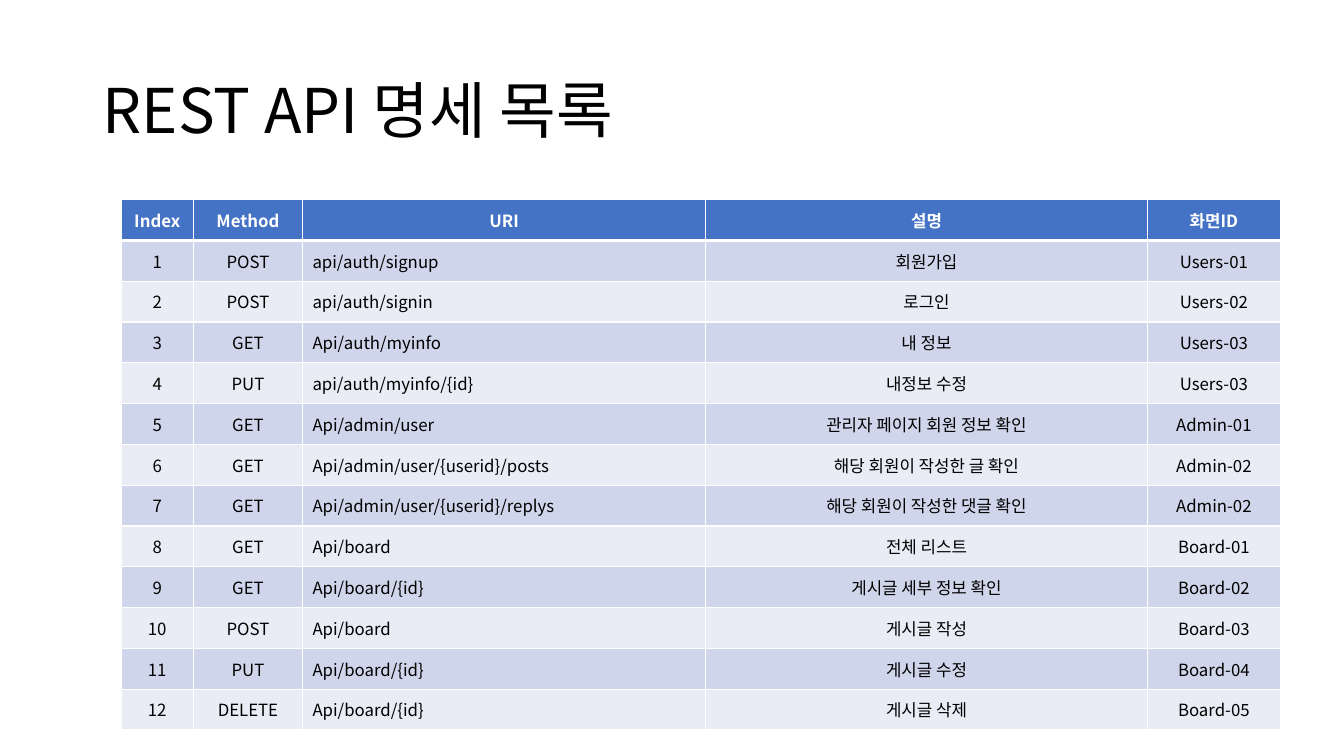
from lxml import etree
from pptx import Presentation, util as u
from pptx.dml.color import RGBColor
from pptx.enum import text
from pptx.oxml import ns

WIDTH, HEIGHT = u.Inches(13.33), u.Inches(7.5)
FONT = "Noto Sans CJK KR"
WHITE, BLACK, HEADER_BLUE = "FFFFFF", "000000", "4472C4"
BANDS = ["CFD5EA", "E9EBF5"]
COLUMN_WIDTHS = [0.72, 1.08, 4, 4.38, 1.32]
ROW_HEIGHT = 0.405
URI_COLUMN = 2
HEADINGS = ["Index", "Method", "URI", "설명", "화면ID"]
ENDPOINTS = [
    ("POST", "api/auth/signup", "회원가입", "Users-01"),
    ("POST", "api/auth/signin", "로그인", "Users-02"),
    ("GET", "Api/auth/myinfo", "내 정보", "Users-03"),
    ("PUT", "api/auth/myinfo/{id}", "내정보 수정", "Users-03"),
    ("GET", "Api/admin/user", "관리자 페이지 회원 정보 확인", "Admin-01"),
    ("GET", "Api/admin/user/{userid}/posts", "해당 회원이 작성한 글 확인", "Admin-02"),
    ("GET", "Api/admin/user/{userid}/replys", "해당 회원이 작성한 댓글 확인", "Admin-02"),
    ("GET", "Api/board", "전체 리스트", "Board-01"),
    ("GET", "Api/board/{id}", "게시글 세부 정보 확인", "Board-02"),
    ("POST", "Api/board", "게시글 작성", "Board-03"),
    ("PUT", "Api/board/{id}", "게시글 수정", "Board-04"),
    ("DELETE", "Api/board/{id}", "게시글 삭제", "Board-05"),
]


def color(hex_code):
    return RGBColor.from_string(hex_code)


def write(frame, words, size, hex_code, bold=False, align=text.PP_ALIGN.LEFT):
    paragraph = frame.paragraphs[0]
    paragraph.text = words
    paragraph.alignment = align
    run = paragraph.runs[0]
    run.font.name = FONT
    run.font.size = u.Pt(size)
    run.font.bold = bold
    run.font.color.rgb = color(hex_code)
    east_asian = etree.SubElement(run.font._element, ns.qn("a:ea"))
    east_asian.set("typeface", FONT)
    return paragraph


def add_border(cell, side, points):
    border = etree.SubElement(cell._tc.get_or_add_tcPr(), ns.qn(f"a:ln{side}"))
    border.set("w", str(u.Pt(points)))
    fill = etree.SubElement(border, ns.qn("a:solidFill"))
    etree.SubElement(fill, ns.qn("a:srgbClr")).set("val", WHITE)


def fill_cell(cell, words, row, column):
    is_header = row == 0
    left_aligned = column == URI_COLUMN and not is_header
    align = text.PP_ALIGN.LEFT if left_aligned else text.PP_ALIGN.CENTER
    write(cell.text_frame, words, 12, WHITE if is_header else BLACK, is_header, align)
    cell.vertical_anchor = text.MSO_ANCHOR.MIDDLE
    for side in "LRTB":
        under_header = (row, side) in [(0, "B"), (1, "T")]
        add_border(cell, side, 3 if under_header else 1)
    cell.fill.solid()
    cell.fill.fore_color.rgb = color(HEADER_BLUE if is_header else BANDS[(row - 1) % 2])


def add_title(slide, words):
    title = slide.shapes.add_textbox(
        u.Inches(0.92), u.Inches(0.4), u.Inches(11.5), u.Inches(1.45))
    frame = title.text_frame
    frame.word_wrap = True
    frame.vertical_anchor = text.MSO_ANCHOR.MIDDLE
    write(frame, words, 44, BLACK).line_spacing = 0.9


def add_endpoint_table(slide):
    rows = [HEADINGS] + [(str(i), *endpoint) for i, endpoint in enumerate(ENDPOINTS, 1)]
    table = slide.shapes.add_table(
        len(rows), len(HEADINGS), u.Inches(1.2), u.Inches(1.98),
        u.Inches(sum(COLUMN_WIDTHS)), u.Inches(ROW_HEIGHT * len(rows))).table
    for column, width in zip(table.columns, COLUMN_WIDTHS):
        column.width = u.Inches(width)
    for r, values in enumerate(rows):
        table.rows[r].height = u.Inches(ROW_HEIGHT)
        for c, words in enumerate(values):
            fill_cell(table.cell(r, c), words, r, c)


def main():
    deck = Presentation()
    deck.slide_width, deck.slide_height = WIDTH, HEIGHT
    slide = deck.slides.add_slide(deck.slide_layouts[6])
    add_title(slide, "REST API 명세 목록")
    add_endpoint_table(slide)
    deck.save("out.pptx")


if __name__ == "__main__":
    main()
